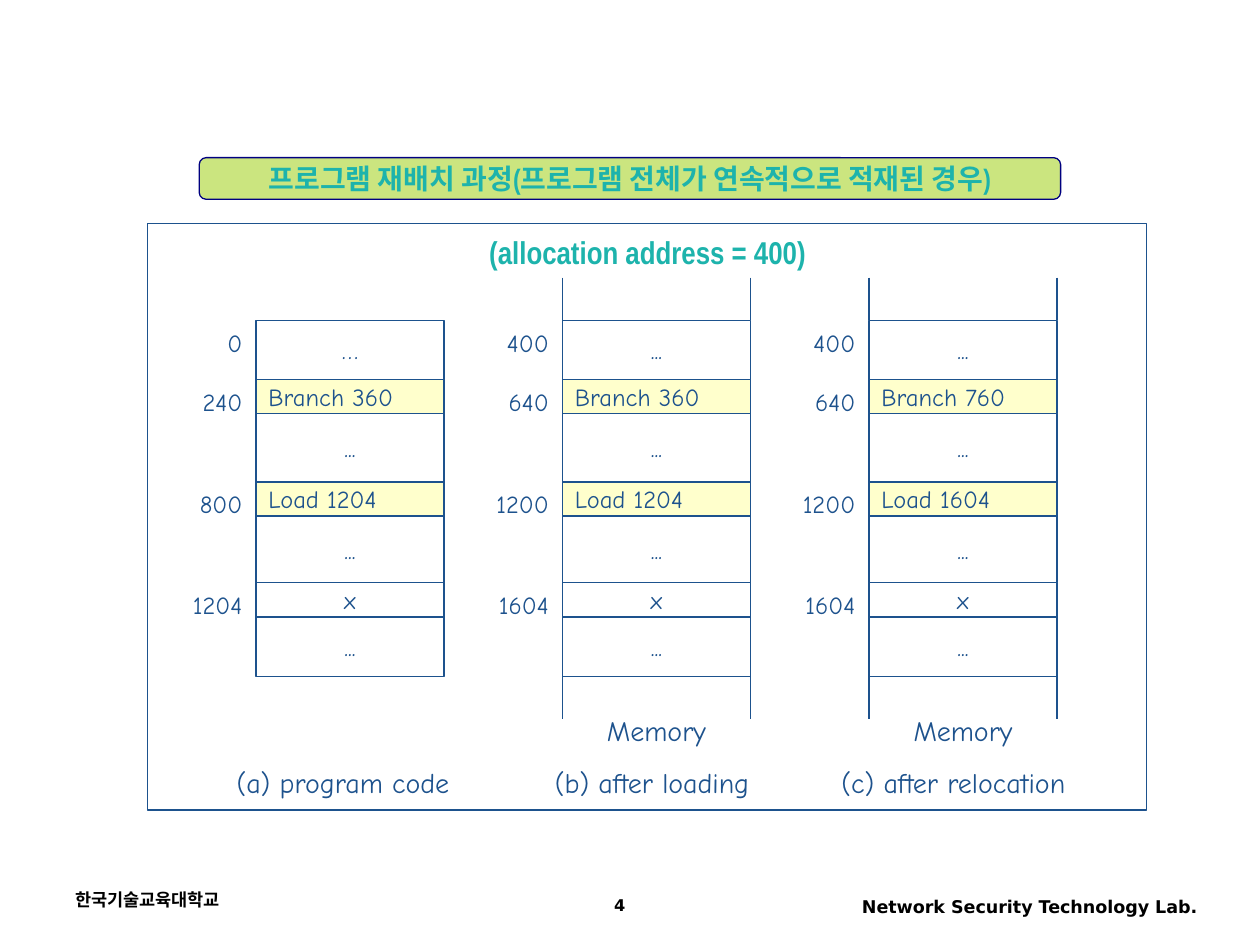
from pptx import Presentation
from pptx.dml.color import RGBColor
from pptx.enum.shapes import MSO_CONNECTOR, MSO_SHAPE
from pptx.enum.text import MSO_ANCHOR, PP_ALIGN
from pptx.oxml.ns import qn
from pptx.util import Pt
from lxml import etree

PX = 9144
LEFT, MID, RIGHT = PP_ALIGN.LEFT, PP_ALIGN.CENTER, PP_ALIGN.RIGHT
RECT, PILL = MSO_SHAPE.RECTANGLE, MSO_SHAPE.FLOWCHART_ALTERNATE_PROCESS
TOP, CENTER = MSO_ANCHOR.TOP, MSO_ANCHOR.MIDDLE
LINE = MSO_CONNECTOR.STRAIGHT
BLUE, TEAL, WHITE, CREAM = "1D528D", "1DB3AC", "FFFFFF", "FFFFCC"

FOOT = {"name": "DejaVu Sans", "size": Pt(10), "bold": True}
PAGE = {**FOOT, "size": Pt(9.2)}
HEAD = {"name": "Arial Narrow", "size": Pt(16), "bold": True}
SUB = {**HEAD, "size": Pt(18)}
CELL = {"name": "Comic Neue", "size": Pt(14), "bold": False}
NOTE = {**CELL, "size": Pt(16)}


def color(text):
    return RGBColor.from_string(text)


def put(area, text, style, ink=BLUE, align=MID, fill=None, edge=BLUE, kind=RECT):
    box = [n * PX for n in area]
    if fill:
        shape = slide.shapes.add_shape(kind, *box)
        shape.shadow.inherit = False
        shape.fill.solid()
        shape.fill.fore_color.rgb = color(fill)
        shape.line.color.rgb = color(edge)
        shape.line.width = Pt(0.75)
    else:
        shape = slide.shapes.add_textbox(*box)
    if text:
        frame = shape.text_frame
        frame.word_wrap = True
        frame.vertical_anchor = CENTER if fill else TOP
        para = frame.paragraphs[0]
        para.alignment = align
        run = para.add_run()
        run.text = text
        for key, value in style.items():
            setattr(run.font, key, value)
        run.font.color.rgb = color(ink)
    return shape


deck = Presentation()
deck.slide_width, deck.slide_height = 999 * PX, 749 * PX
slide = deck.slides.add_slide(deck.slide_layouts[6])

for area, text, style, align in [
    ((50, 700, 233, 33), "한국기술교육대학교", FOOT, LEFT),
    ((642, 705, 317, 32), "Network Security Technology Lab.", FOOT, RIGHT),
    ((375, 705, 233, 28), "4", PAGE, MID),
]:
    put(area, text, style, "000000", align)

banner = put((158, 125, 683, 33), "프로그램 재배치 과정(프로그램 전체가 연속적으로 적재된 경우)",
             HEAD, TEAL, fill="99CC00", edge="000080", kind=PILL)
tint = banner.fill._xPr.find(qn("a:solidFill"))[0]
etree.SubElement(tint, qn("a:alpha"), val="50000")

put((117, 177, 792, 465), "", CELL, fill=WHITE)
put((368, 180, 291, 40), "(allocation address = 400)", SUB, TEAL)

first, step, width = 203, 243, 149
tops = [254, 301, 328, 382, 409, 462, 489, 536]
stacks = [
    ("…", "Branch 360", "Load 1204", ["0", "240", "800", "1204"],
     "(a) program code", 272),
    ("...", "Branch 360", "Load 1204", ["400", "640", "1200", "1604"],
     "(b) after loading", 517),
    ("...", "Branch 760", "Load 1604", ["400", "640", "1200", "1604"],
     "(c) after relocation", 756),
]

for col, (start, jump, load, marks, title, mid) in enumerate(stacks):
    x = first + col * step
    words = [start, jump, "...", load, "...", "x", "..."]
    for row, word in enumerate(words):
        code = word in (jump, load)
        put((x, tops[row], width, tops[row + 1] - tops[row]), word, CELL,
            align=LEFT if code else MID, fill=CREAM if code else WHITE)
    for mark, row in zip(marks, (0, 1, 3, 5)):
        put((x - 81, tops[row] + 1, 80, 34), mark, CELL, align=RIGHT)
    put((mid - 110, 602, 220, 37), title, NOTE)
    if col:
        put((x, 561, width, 37), "Memory", NOTE)
        for side in (x, x + width):
            for y in (220, 536):
                rail = slide.shapes.add_connector(
                    LINE, side * PX, y * PX, side * PX, (y + 34) * PX)
                rail.line.color.rgb = color(BLUE)
                rail.line.width = Pt(0.75)
                etree.SubElement(rail._element.spPr, qn("a:effectLst"))

deck.save("out.pptx")
